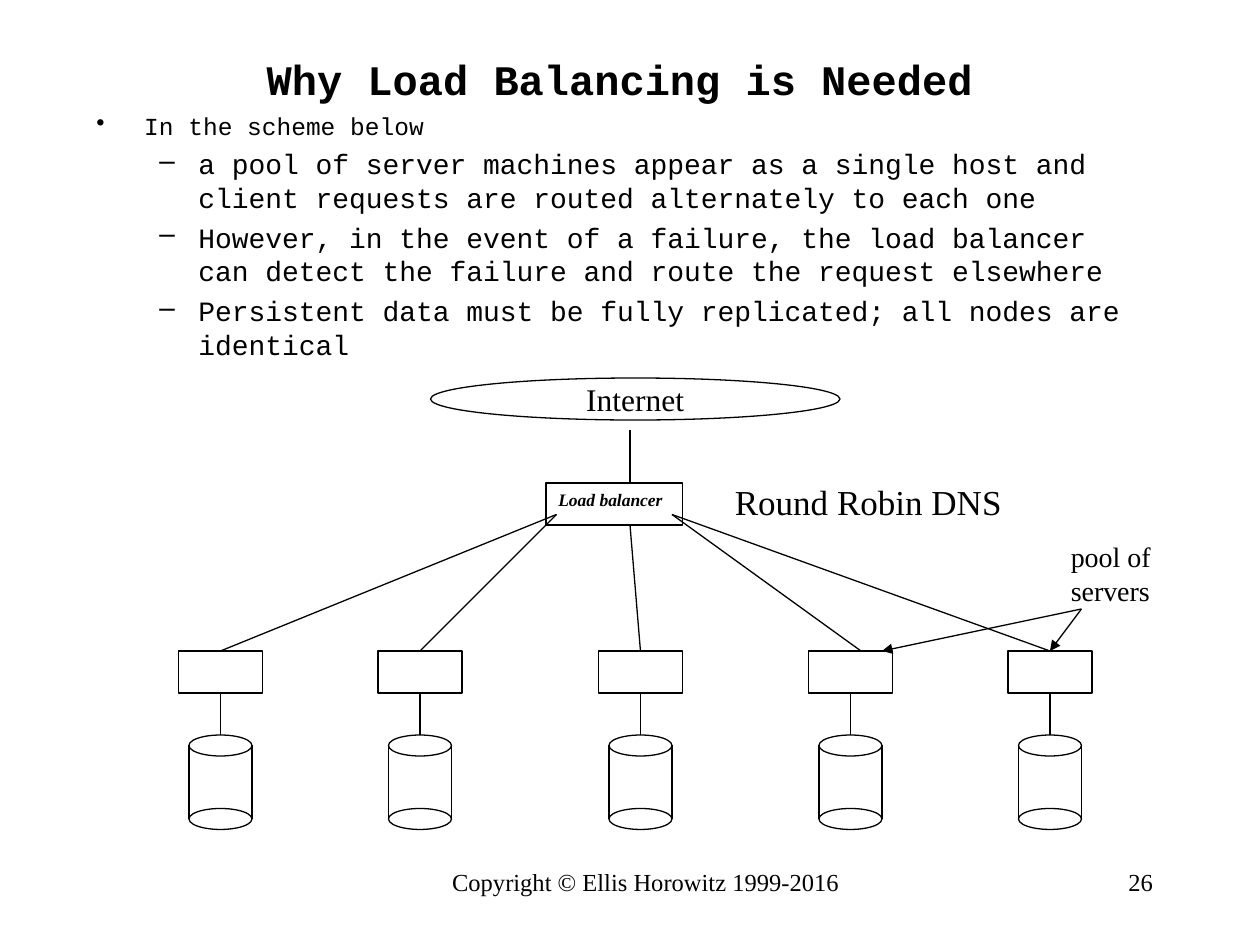
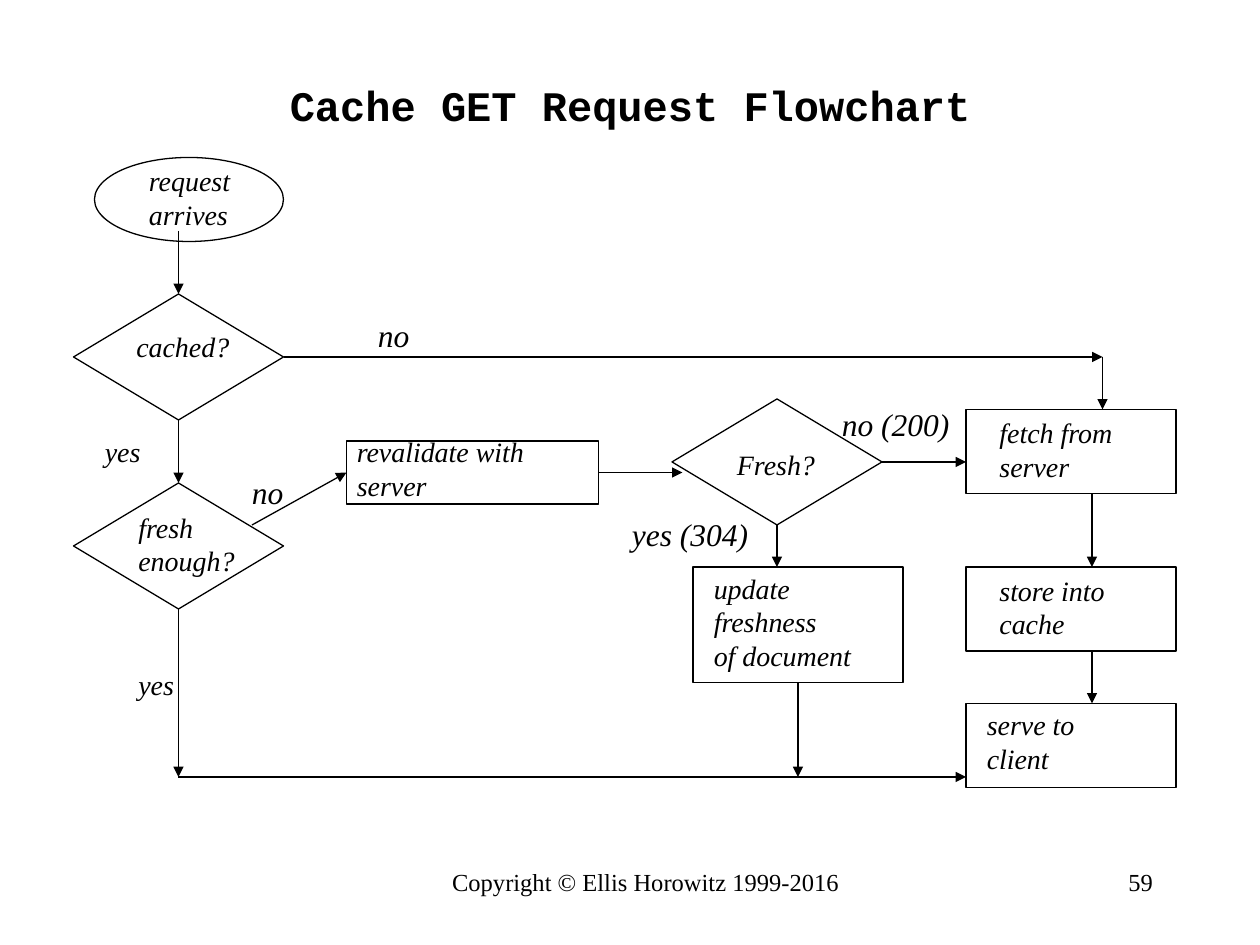
from dataclasses import dataclass

from pptx import Presentation
from pptx.dml.color import RGBColor
from pptx.enum.shapes import MSO_CONNECTOR, MSO_SHAPE
from pptx.enum.text import MSO_ANCHOR, MSO_AUTO_SIZE, PP_ALIGN
from pptx.oxml.ns import qn
from pptx.util import Emu, Inches, Pt

LEFT, CENTER, RIGHT = PP_ALIGN.LEFT, PP_ALIGN.CENTER, PP_ALIGN.RIGHT
TOP, MIDDLE = MSO_ANCHOR.TOP, MSO_ANCHOR.MIDDLE
OVAL, RECT, DECISION = MSO_SHAPE.OVAL, MSO_SHAPE.RECTANGLE, MSO_SHAPE.FLOWCHART_DECISION
STRAIGHT = MSO_CONNECTOR.STRAIGHT
TITLE_ONLY = 5
CELL = Inches(1) // 12  # the slide is a grid of 120 columns by 90 rows


@dataclass(frozen=True)
class Theme:
    ink: RGBColor = RGBColor(0, 0, 0)
    mono: str = "Courier New"
    serif: str = "Times New Roman"
    title: int = 24
    heading: int = 20
    large: int = 18
    body: int = 16
    small: int = 14
    tiny: int = 10
    line: float = 0.75
    bullet_gap: float = 3.6


T = Theme()

# Every place below is left, top, width, height (or x, y) in grid cells.
COPYRIGHT = "Copyright © Ellis Horowitz 1999-2016"
FOOTER_BOX = (41, 82, 41, 6)
NUMBER_BOX = (86, 82, 25, 6)

BALANCING = {"title": "Why Load Balancing is Needed", "box": (8, 4, 102, 7), "number": 26}
BULLETS_BOX = (8, 10, 102, 26)
BULLETS = [
    (0, "In the scheme below"),
    (1, "a pool of server machines appear as a single host and client requests "
        "are routed alternately to each one"),
    (1, "However, in the event of a failure, the load balancer can detect the "
        "failure and route the request elsewhere"),
    (1, "Persistent data must be fully replicated; all nodes are identical"),
]
BULLET_STYLES = [  # character, size, left margin and hanging indent in inches
    ("•", T.small, 0.38, -0.38),
    ("–", T.body, 0.81, -0.31),
]
INTERNET = (41, 36, 39, 4)
BALANCER = (52, 46, 13, 4)
UPLINK = [(60, 46), (60, 41)]
SERVER_CENTERS = [21, 40, 61, 81, 100]
SERVER_TOP, SERVER_W, SERVER_H = 62, 8, 4
DISK_TOP, DISK_W, DISK_H, DISK_RIM = 70, 6, 9, 2
SERVER_LINKS = [  # column on the server row, point on the balancer
    (21, (53, 49)), (40, (53, 49)), (61, (60, 50)), (82, (64, 49)), (100, (64, 49)),
]
POOL_POINT, POOL_TARGETS = (103, 58), [100, 84]
BALANCING_LABELS = [  # text, left, top, width, size
    ("Round Robin DNS", 68.8, 45.2, 27.8, T.heading),
    ("pool of\nservers", 100.8, 50.8, 10.1, T.body),
]

FLOWCHART = {"title": "Cache GET Request Flowchart", "box": (9, 6, 102, 8), "number": 59}
NODES = [
    (OVAL, (9, 15, 18, 8)),
    *[(DECISION, (x, y, 20, 12)) for x, y in [(7, 28), (7, 46), (64, 38)]],
    (RECT, (33, 42, 24, 6)),
    *[(RECT, (92, y, 20, 8)) for y in (39, 54, 67)],
    (RECT, (66, 54, 20, 11)),
]
FLOWS = [  # each stretch of a flow ends in an arrowhead
    [(17, 22), (17, 28)],
    [(17, 40), (17, 46)],
    [(24, 50), (33, 45)],
    [(57, 45), (65, 45)],
    [(84, 44), (92, 44)],
    [(27, 34), (105, 34), (105, 39)],
    [(104, 47), (104, 54)],
    [(104, 62), (104, 67)],
    [(74, 50), (74, 54)],
    [(17, 58), (17, 74), (92, 74)],
    [(76, 65), (76, 74)],
]
FLOW_LABELS = [
    ("request\narrives", 13, 15, 10.3, T.body),
    ("cached?", 11.8, 30.8, 11.3, T.body),
    ("fresh\nenough?", 12, 48, 11.6, T.body),
    ("revalidate with\nserver", 32.8, 40.8, 18.5, T.body),
    ("Fresh?", 69, 42, 10, T.body),
    ("fetch from\nserver", 94, 39, 13.3, T.body),
    ("store into\ncache", 94, 54, 12.6, T.body),
    ("update\nfreshness\nof document", 66.8, 53.8, 15.5, T.body),
    ("serve to\nclient", 92.8, 66.8, 10.8, T.body),
    ("no", 34.8, 29.5, 5.4, T.large),
    ("yes", 8.8, 40.8, 5.8, T.body),
    ("yes", 12, 63, 5.8, T.body),
    ("no", 22.8, 44.5, 5.4, T.large),
    ("no (200)", 79, 38, 14, T.large),
    ("yes (304)", 59, 48.5, 14, T.large),
]


def cells(*values):
    return [Emu(round(v * CELL)) for v in values]


def write(tf, text, size=T.body, font=T.serif, bold=False, italic=False,
          align=LEFT, anchor=TOP, wrap=True):
    """Fill a text frame, one paragraph for each line of text."""
    tf.word_wrap, tf.vertical_anchor = wrap, anchor
    tf.auto_size = MSO_AUTO_SIZE.NONE
    for i, line in enumerate(text.split("\n")):
        p = tf.add_paragraph() if i else tf.paragraphs[0]
        p.alignment = align
        r = p.add_run()
        r.text = line
        f = r.font
        f.name, f.size, f.bold, f.italic = font, Pt(size), bold, italic
        f.color.rgb = T.ink


def add_text(s, text, box, **fmt):
    write(s.shapes.add_textbox(*cells(*box)).text_frame, text, **fmt)


def add_labels(s, labels, italic=False):
    for text, x, y, w, size in labels:
        h = 1.2 + 0.2 * size * len(text.split("\n"))
        add_text(s, text, (x, y, w, h), size=size, italic=italic, wrap=False)


def add_outline(shapes, kind, box):
    sp = shapes.add_shape(kind, *cells(*box))
    sp.shadow.inherit = False
    sp.fill.background()
    sp.line.color.rgb, sp.line.width = T.ink, Pt(T.line)
    return sp


def add_line(shapes, start, end, arrow=False):
    c = shapes.add_connector(STRAIGHT, *cells(*start, *end))
    c.line.color.rgb, c.line.width = T.ink, Pt(T.line)
    sp_pr = c._element.spPr
    if arrow:
        ln = sp_pr.find(qn("a:ln"))
        ln.append(ln.makeelement(qn("a:tailEnd"), {"type": "triangle"}))
    sp_pr.append(sp_pr.makeelement(qn("a:effectLst"), {}))


def add_bullets(s):
    tf = s.shapes.add_textbox(*cells(*BULLETS_BOX)).text_frame
    write(tf, "\n".join(text for _, text in BULLETS), font=T.mono)
    for p, (level, _) in zip(tf.paragraphs, BULLETS):
        char, size, margin, indent = BULLET_STYLES[level]
        p.level, p.space_before = level, Pt(T.bullet_gap)
        p.runs[0].font.size = Pt(size)
        p_pr = p._p.get_or_add_pPr()
        p_pr.set("marL", str(Inches(margin)))
        p_pr.set("indent", str(Inches(indent)))
        p_pr.append(p_pr.makeelement(qn("a:buChar"), {"char": char}))


def add_server(s, center):
    """Draw a server box joined to the disk below it."""
    shapes = s.shapes.add_group_shape().shapes
    add_outline(shapes, RECT, (center - SERVER_W / 2, SERVER_TOP, SERVER_W, SERVER_H))
    add_line(shapes, (center, SERVER_TOP + SERVER_H), (center, DISK_TOP))
    left, bottom = center - DISK_W / 2, DISK_TOP + DISK_H
    for y in (DISK_TOP, bottom - DISK_RIM):
        add_outline(shapes, OVAL, (left, y, DISK_W, DISK_RIM))
    for x in (left, left + DISK_W):
        add_line(shapes, (x, DISK_TOP + DISK_RIM / 2), (x, bottom - DISK_RIM / 2))


def new_slide(prs, title, box, number):
    s = prs.slides.add_slide(prs.slide_layouts[TITLE_ONLY])
    ph = s.shapes.title
    ph.left, ph.top, ph.width, ph.height = cells(*box)
    write(ph.text_frame, title, size=T.title, font=T.mono, bold=True,
          align=CENTER, anchor=MIDDLE)
    add_text(s, COPYRIGHT, FOOTER_BOX, size=T.small, align=CENTER)
    add_text(s, str(number), NUMBER_BOX, size=T.small, align=RIGHT)
    return s


def build_balancing(prs):
    s = new_slide(prs, **BALANCING)
    add_bullets(s)
    for center in SERVER_CENTERS:
        add_server(s, center)
    for x, point in SERVER_LINKS:
        add_line(s.shapes, (x, SERVER_TOP), point)
    add_line(s.shapes, *UPLINK)
    internet = add_outline(s.shapes, OVAL, INTERNET)
    write(internet.text_frame, "Internet", size=T.large, align=CENTER,
          anchor=MIDDLE, wrap=False)
    balancer = add_outline(s.shapes, RECT, BALANCER)
    write(balancer.text_frame, "Load balancer", size=T.tiny, bold=True, italic=True)
    add_labels(s, BALANCING_LABELS)
    for x in POOL_TARGETS:
        add_line(s.shapes, POOL_POINT, (x, SERVER_TOP), arrow=True)


def build_flowchart(prs):
    s = new_slide(prs, **FLOWCHART)
    for kind, box in NODES:
        add_outline(s.shapes, kind, box)
    for points in FLOWS:
        for start, end in zip(points, points[1:]):
            add_line(s.shapes, start, end, arrow=True)
    add_labels(s, FLOW_LABELS, italic=True)


def main():
    prs = Presentation()
    prs.slide_width, prs.slide_height = cells(120, 90)
    build_balancing(prs)
    build_flowchart(prs)
    prs.save("out.pptx")


if __name__ == "__main__":
    main()
